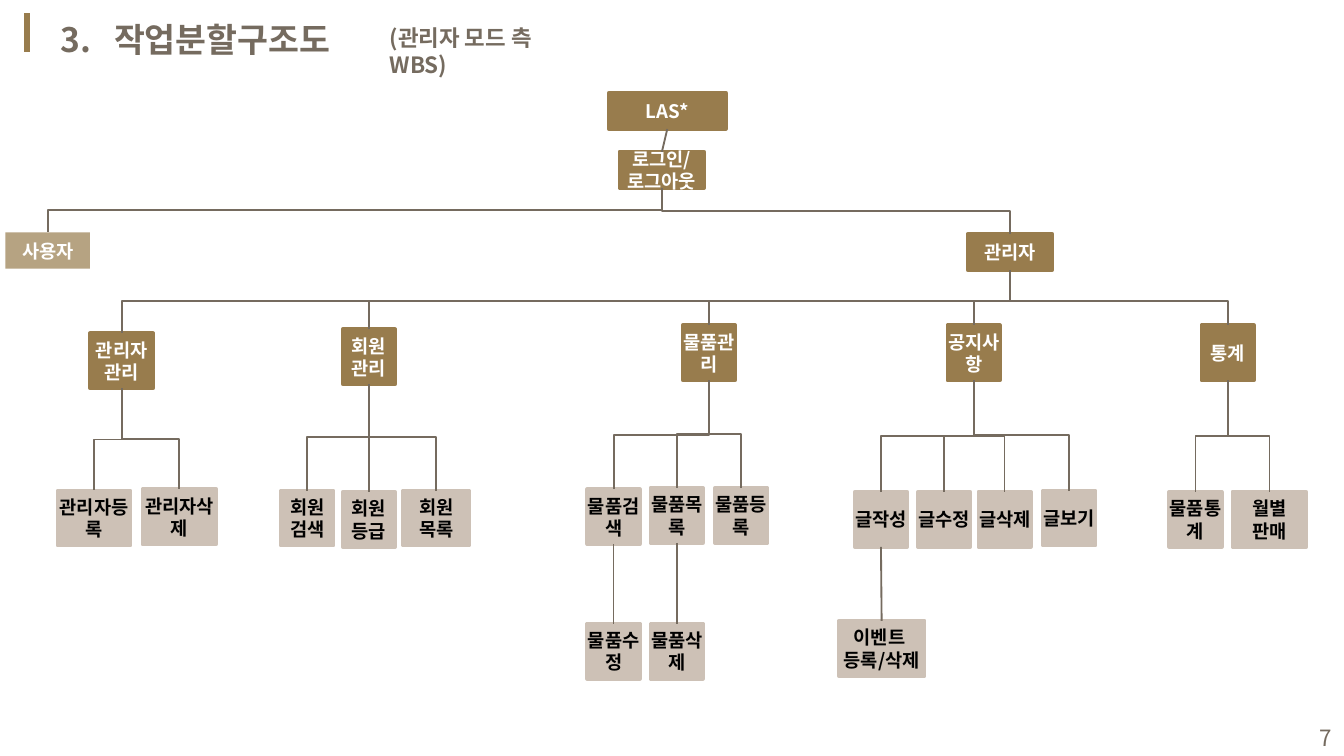
"""Builds the admin-side work breakdown structure slide."""
from dataclasses import dataclass

from lxml import etree
from pptx import Presentation
from pptx import util as u
from pptx.dml.color import RGBColor
from pptx.enum import shapes, text
from pptx.oxml import ns

GOLD = RGBColor(0x98, 0x7C, 0x4D)
SAND = RGBColor(0xCD, 0xC1, 0xB6)
BROWN = RGBColor(0x75, 0x6B, 0x5F)
WHITE = RGBColor(0xFF, 0xFF, 0xFF)
BLACK = RGBColor(0, 0, 0)
FONT = "Noto Sans CJK KR"
BUS = 2.24
LOW, TALL = 0.27, 0.41
NARROW = 0.39


@dataclass
class Node:
    label: str
    left: float
    top: float
    width: float = NARROW
    height: float = TALL
    parent: str = ""
    fill: RGBColor = SAND
    ink: RGBColor = BLACK

    @property
    def mid(self) -> float:
        return self.left + self.width / 2

    @property
    def base(self) -> float:
        return self.top + self.height


def head(label: str, left: float, top: float, width: float = NARROW,
         height: float = TALL, parent: str = "") -> Node:
    return Node(label, left, top, width, height, parent, GOLD, WHITE)


def leaf(parent: str, label: str, left: float, top: float, width: float = NARROW) -> Node:
    return Node(label, left, top, width, parent=parent)


LOGIN, USER, ADMIN = "로그인/\n로그아웃", "사용자", "관리자"
STAFF, MEMBER, GOODS, NOTICE, STATS = "관리자관리", "회원\n관리", "물품관리", "공지사항", "통계"

NODES = [
    head("LAS*", 4.53, 0.69, 0.87, LOW),
    head(LOGIN, 4.61, 1.13, 0.63, LOW, "LAS*"),
    head(USER, 0.04, 1.73, 0.63, LOW, LOGIN),
    head(ADMIN, 7.2, 1.74, 0.63, LOW, LOGIN),
    head(STAFF, 0.67, 2.48, 0.47, parent=ADMIN),
    head(MEMBER, 2.55, 2.45),
    head(GOODS, 5.08, 2.42),
    head(NOTICE, 7.05, 2.42),
    head(STATS, 8.94, 2.42, parent=ADMIN),
    leaf(STAFF, "관리자등록", 0.43, 3.65, 0.54),
    leaf(STAFF, "관리자삭제", 1.06, 3.64, 0.55),
    leaf(MEMBER, "회원\n검색", 2.09, 3.65),
    leaf(MEMBER, "회원\n등급", 2.55, 3.66),
    leaf(MEMBER, "회원\n목록", 3, 3.65, 0.49),
    leaf(GOODS, "물품검색", 4.37, 3.64),
    leaf(GOODS, "물품목록", 4.84, 3.63),
    leaf(GOODS, "물품등록", 5.32, 3.63),
    leaf(NOTICE, "글작성", 6.36, 3.66),
    leaf(NOTICE, "글수정", 6.83, 3.66),
    leaf(NOTICE, "글삭제", 7.28, 3.66),
    leaf(NOTICE, "글보기", 7.76, 3.65),
    leaf(STATS, "물품통계", 8.7, 3.66),
    leaf(STATS, "월별\n판매", 9.17, 3.66, 0.55),
    leaf("물품검색", "물품수정", 4.37, 4.64),
    leaf("물품목록", "물품삭제", 4.84, 4.64),
    leaf("글작성", "이벤트 \n등록/삭제", 6.24, 4.62, 0.64),
]


def write(frame, words: str, size: float, ink: RGBColor, bold: bool = True,
          align=text.PP_ALIGN.LEFT) -> None:
    frame.word_wrap = True
    for i, line in enumerate(words.split("\n")):
        para = frame.add_paragraph() if i else frame.paragraphs[0]
        para.alignment = align
        run = para.add_run()
        run.text = line
        font = run.font
        font.name, font.size, font.bold = FONT, u.Pt(size), bold
        font.color.rgb = ink
        east = etree.SubElement(font._element, ns.qn("a:ea"))
        east.set("typeface", FONT)


def note(slide, words: str, left: float, top: float, width: float, height: float,
         size: float, **style):
    box = slide.shapes.add_textbox(*map(u.Inches, (left, top, width, height)))
    write(box.text_frame, words, size, BROWN, **style)
    return box.text_frame


def block(slide, node: Node):
    place = map(u.Inches, (node.left, node.top, node.width, node.height))
    box = slide.shapes.add_shape(shapes.MSO_SHAPE.RECTANGLE, *place)
    box.shadow.inherit = False
    box.fill.solid()
    box.fill.fore_color.rgb = node.fill
    box.line.color.rgb = node.fill
    box.line.width = u.Pt(2)
    frame = box.text_frame
    frame.margin_left = frame.margin_right = frame.margin_top = frame.margin_bottom = 0
    frame.vertical_anchor = text.MSO_ANCHOR.MIDDLE
    write(frame, node.label, 10, node.ink, align=text.PP_ALIGN.CENTER)
    return box


def fade(box, share: int) -> None:
    tone = box._element.spPr.find(ns.qn("a:solidFill"))[0]
    etree.SubElement(tone, ns.qn("a:alpha")).set("val", str(share * 1000))
    box.line.fill.background()


def rule(slide, kind, x1: float, y1: float, x2: float, y2: float,
         ink: RGBColor = BROWN, width: float = 1):
    line = slide.shapes.add_connector(kind, *map(u.Inches, (x1, y1, x2, y2)))
    line.line.color.rgb = ink
    line.line.width = u.Pt(width)
    etree.SubElement(line._element.spPr, ns.qn("a:effectLst"))
    return line


def bend(slide, x1: float, y1: float, x2: float, y2: float, turn: float) -> None:
    """Draws an elbow that leaves downward and turns at the given share of its drop."""
    drop, span = y2 - y1, abs(x2 - x1)
    left, top = (x1 + x2 - drop) / 2, (y1 + y2 - span) / 2
    ends = (left + drop, left) if x2 > x1 else (left, left + drop)
    line = rule(slide, shapes.MSO_CONNECTOR.ELBOW, ends[0], top, ends[1], top + span)
    props = line._element.spPr
    props.find(ns.qn("a:xfrm")).set("rot", str((270 if x2 > x1 else 90) * 60000))
    geom = props.find(ns.qn("a:prstGeom"))
    guide = etree.SubElement(geom.find(ns.qn("a:avLst")), ns.qn("a:gd"))
    guide.set("name", "adj1")
    guide.set("fmla", f"val {round(turn * 100000)}")


def link(slide, top: Node, low: Node, boxes: dict) -> None:
    x1, y1, x2, y2 = top.mid, top.base, low.mid, low.top
    if abs(x1 - x2) < 0.05:
        line = rule(slide, shapes.MSO_CONNECTOR.STRAIGHT, x1, y1, x2, y2)
        line.begin_connect(boxes[top.label], 2)
        line.end_connect(boxes[low.label], 0)
    else:
        turn = (BUS - y1) / (y2 - y1) if top.label == ADMIN else 0.5
        bend(slide, x1, y1, x2, y2, turn)


def main() -> None:
    deck = Presentation()
    deck.slide_width, deck.slide_height = u.Inches(10), u.Inches(10 * 9 / 16)
    slide = deck.slides.add_slide(deck.slide_layouts[6])
    plain = shapes.MSO_CONNECTOR.STRAIGHT

    rule(slide, plain, 0.2, 0.1, 0.2, 0.39, GOLD, 3)
    page = note(slide, "7", 7.68, 5.34, 2.33, 0.3, 12, bold=False, align=text.PP_ALIGN.RIGHT)
    page.vertical_anchor = text.MSO_ANCHOR.MIDDLE
    title = note(slide, "3.\t작업분할구조도", 0.35, 0.09, 3.21, 0.4, 18)
    tabs = etree.SubElement(title.paragraphs[0]._p.get_or_add_pPr(), ns.qn("a:tabLst"))
    stop = etree.SubElement(tabs, ns.qn("a:tab"))
    stop.set("pos", str(u.Inches(0.4)))
    stop.set("algn", "l")
    mode = note(slide, "(관리자 모드 측 WBS)", 2.8, 0.13, 1.81, 0.3, 12)
    mode.margin_right = u.Inches(0.2)

    nodes = {node.label: node for node in NODES}
    boxes = {node.label: block(slide, node) for node in NODES}
    fade(boxes[USER], 70)
    for node in NODES:
        if node.parent:
            link(slide, nodes[node.parent], node, boxes)
    for label in (MEMBER, GOODS, NOTICE):
        node = nodes[label]
        stub = rule(slide, plain, node.mid, node.top, node.mid, BUS)
        stub.begin_connect(boxes[label], 0)

    deck.save("out.pptx")


if __name__ == "__main__":
    main()
